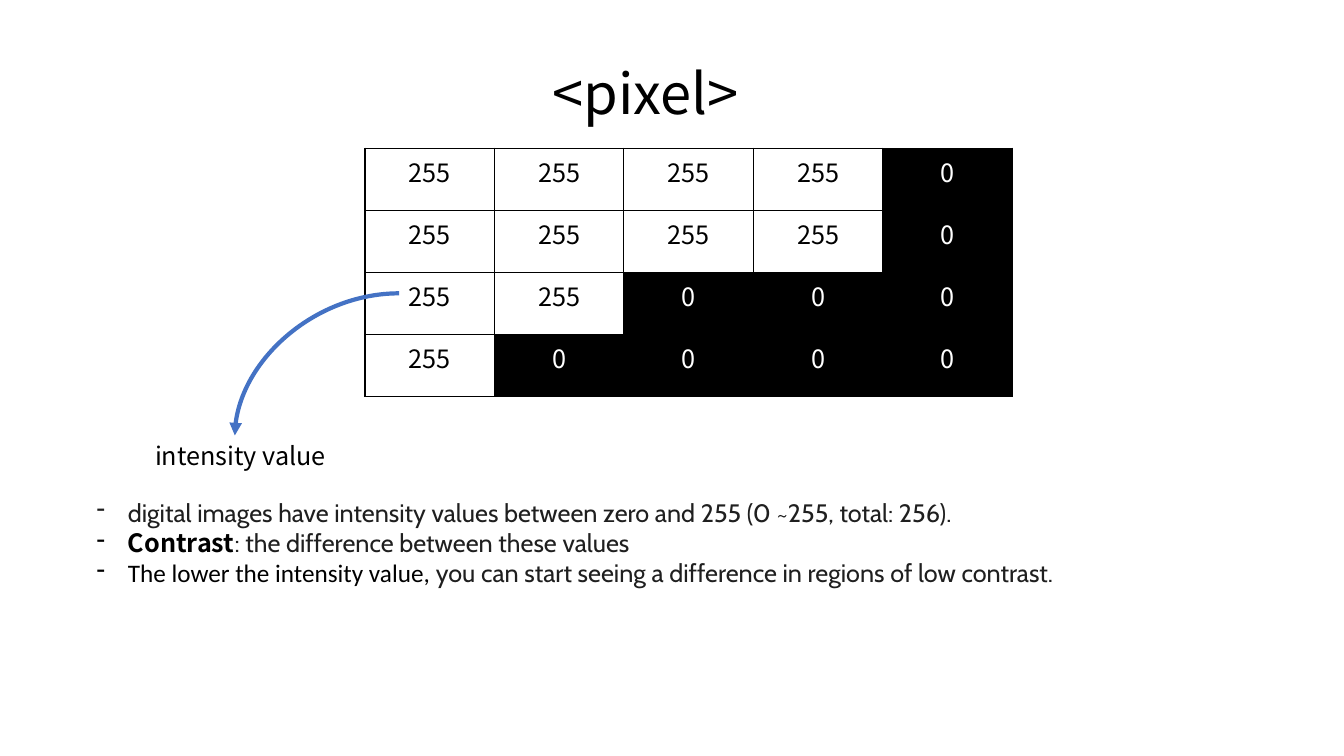
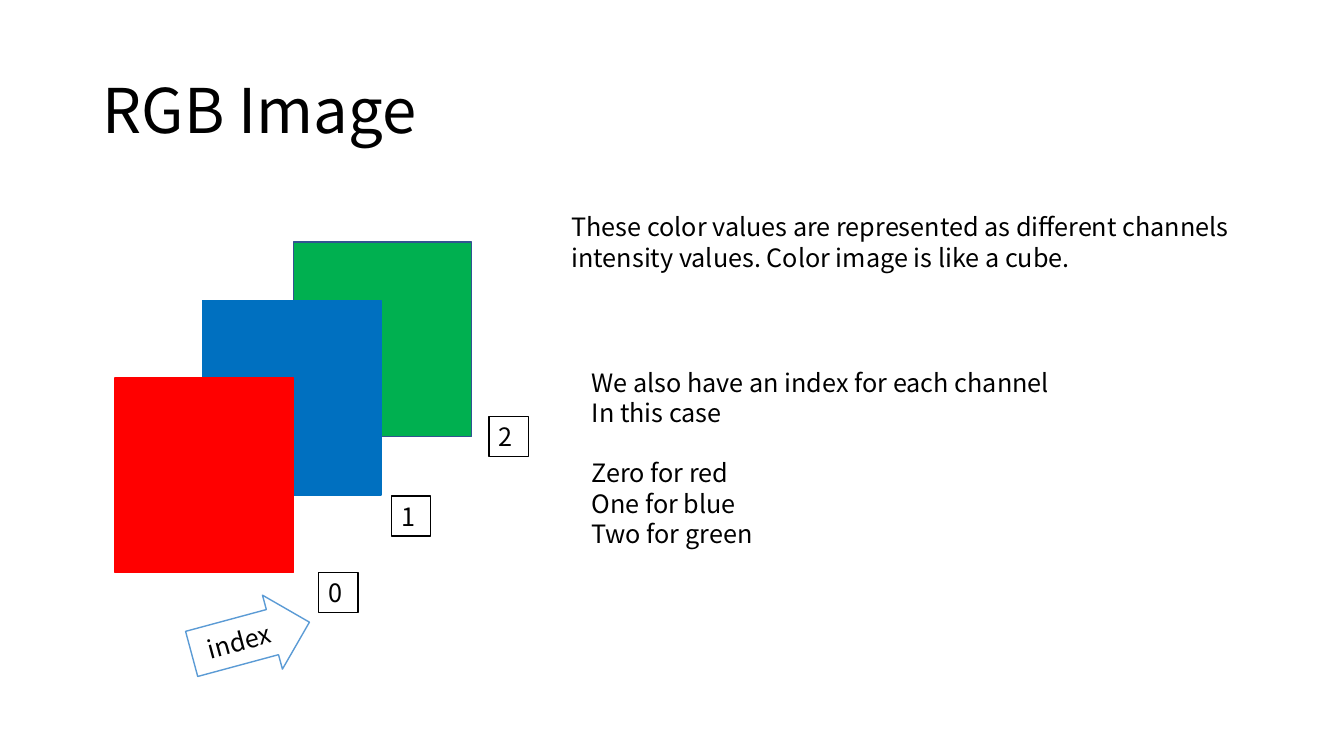
from lxml import etree
from pptx import Presentation
from pptx.dml.color import RGBColor
from pptx.enum import shapes, text
from pptx.oxml import ns
from pptx.util import Inches, Pt

COLORS = {
    "black": "000000", "white": "FFFFFF", "body": "1F1F1F", "arrow": "4472C4",
    "red": "FF0000", "blue": "0070C0", "green": "00B050",
    "green_edge": "325491", "index_edge": "5B9BD5",
}
MAIN_FONT = "Noto Sans CJK KR"
BODY_FONT = "Cabin"


def write(frame, paragraphs, size=18, color="black"):
    """Fill a text frame; a paragraph is a string or a list of (text, font, color, bold) runs."""
    frame.word_wrap = True
    for number, content in enumerate(paragraphs):
        paragraph = frame.add_paragraph() if number else frame.paragraphs[0]
        runs = [(content, MAIN_FONT, color, False)] if isinstance(content, str) else content
        for words, font_name, run_color, bold in runs:
            run = paragraph.add_run()
            run.text = words
            run.font.name, run.font.size, run.font.bold = font_name, Pt(size), bold
            run.font.color.rgb = RGBColor.from_string(COLORS[run_color])


def paint(shape, fill, line):
    shape.shadow.inherit = False
    shape.fill.solid()
    shape.fill.fore_color.rgb = RGBColor.from_string(COLORS[fill])
    shape.line.color.rgb = RGBColor.from_string(COLORS[line])
    shape.line.width = Pt(1)


presentation = Presentation()
presentation.slide_width, presentation.slide_height = Inches(13.33), Inches(7.5)
blank = presentation.slide_layouts[6]

# Pixel slide: grid of intensity values
slide = presentation.slides.add_slide(blank)
white_counts = [4, 4, 2, 1]
columns = 5
table = slide.shapes.add_table(len(white_counts), columns, Inches(3.62), Inches(1.47),
                               Inches(6.42), Inches(2.46)).table
for row, white_count in enumerate(white_counts):
    for column in range(columns):
        is_white = column < white_count
        fill, ink = ("white", "black") if is_white else ("black", "white")
        cell = table.cell(row, column)
        write(cell.text_frame, ["255" if is_white else "0"], color=ink)
        cell.text_frame.paragraphs[0].alignment = text.PP_ALIGN.CENTER
        cell.fill.solid()
        cell.fill.fore_color.rgb = RGBColor.from_string(COLORS[fill])
        properties = cell._tc.get_or_add_tcPr()
        for position, side in enumerate(("lnL", "lnR", "lnT", "lnB")):
            border = etree.Element(ns.qn("a:" + side), w=str(Pt(1)))
            solid = etree.SubElement(border, ns.qn("a:solidFill"))
            etree.SubElement(solid, ns.qn("a:srgbClr"), val=COLORS["black"])
            properties.insert(position, border)

title = slide.shapes.add_textbox(Inches(5.38), Inches(0.53), Inches(4.67), Inches(0.77))
write(title.text_frame, ["<pixel>"], size=40)

arrow = slide.shapes.add_connector(shapes.MSO_CONNECTOR.CURVE, Inches(3.96), Inches(2.91),
                                   Inches(2.33), Inches(4.32))
arrow.line.color.rgb = RGBColor.from_string(COLORS["arrow"])
arrow.line.width = Pt(3)
arrow_properties = arrow._element.spPr
arrow_properties.find(ns.qn("a:prstGeom")).set("prst", "curvedConnector2")
etree.SubElement(arrow.line._get_or_add_ln(), ns.qn("a:tailEnd"), type="triangle")
etree.SubElement(arrow_properties, ns.qn("a:effectLst"))

caption = slide.shapes.add_textbox(Inches(1.44), Inches(4.32), Inches(2), Inches(0.4))
write(caption.text_frame, ["intensity value"])

notes = slide.shapes.add_textbox(Inches(0.86), Inches(4.88), Inches(10.05), Inches(1.62))
write(notes.text_frame, [
    [("digital images have intensity values between zero and 255 (0 ~255, total: 256).",
      BODY_FONT, "body", False)],
    [("Contrast", MAIN_FONT, "black", True),
     (": the difference between these values", BODY_FONT, "body", False)],
    [("The lower the intensity value, ", "Calibri", "black", False),
     ("you can start seeing a difference in regions of low contrast.",
      BODY_FONT, "body", False)],
])
for paragraph in notes.text_frame.paragraphs:
    properties = paragraph._p.get_or_add_pPr()
    properties.set("marL", str(Inches(0.31)))
    properties.set("indent", str(Inches(-0.31)))
    etree.SubElement(properties, ns.qn("a:buFontTx"))
    etree.SubElement(properties, ns.qn("a:buChar"), char="-")

# RGB slide: stacked channels with their indexes
slide = presentation.slides.add_slide(blank)
title = slide.shapes.add_textbox(Inches(0.92), Inches(0.4), Inches(11.5), Inches(1.45))
write(title.text_frame, ["RGB Image"], size=44)
title.text_frame.vertical_anchor = text.MSO_ANCHOR.MIDDLE
title.text_frame.paragraphs[0].line_spacing = 0.9

for left, top, fill, edge in [(2.91, 2.4, "green", "green_edge"),
                              (2.01, 2.98, "blue", "blue"),
                              (1.14, 3.75, "red", "red")]:
    channel = slide.shapes.add_shape(shapes.MSO_SHAPE.RECTANGLE, Inches(left), Inches(top),
                                     Inches(1.77), Inches(1.93))
    paint(channel, fill, edge)

for index, (left, top) in enumerate([(3.16, 5.68), (3.88, 4.92), (4.85, 4.13)]):
    label = slide.shapes.add_textbox(Inches(left), Inches(top), Inches(0.39), Inches(0.4))
    paint(label, "white", "black")
    write(label.text_frame, [str(index)])

summary = slide.shapes.add_textbox(Inches(5.57), Inches(2.05), Inches(7.21), Inches(0.71))
write(summary.text_frame, ["These color values are represented as different channels "
                           "intensity values. Color image is like a cube."])

legend = slide.shapes.add_textbox(Inches(5.77), Inches(3.59), Inches(6.16), Inches(1.92))
write(legend.text_frame, ["We also have an index for each channel", "In this case",
                          "Zero for red", "One for blue", "Two for green"])
legend.text_frame.paragraphs[2].space_before = Pt(21.6)

pointer = slide.shapes.add_shape(shapes.MSO_SHAPE.RIGHT_ARROW, Inches(1.88), Inches(5.95),
                                 Inches(1.21), Inches(0.76))
pointer.adjustments[0] = 0.61
pointer.rotation = 344.9
paint(pointer, "white", "index_edge")
write(pointer.text_frame, ["index"])
pointer.text_frame.vertical_anchor = text.MSO_ANCHOR.MIDDLE
pointer.text_frame.paragraphs[0].alignment = text.PP_ALIGN.CENTER

presentation.save("out.pptx")
